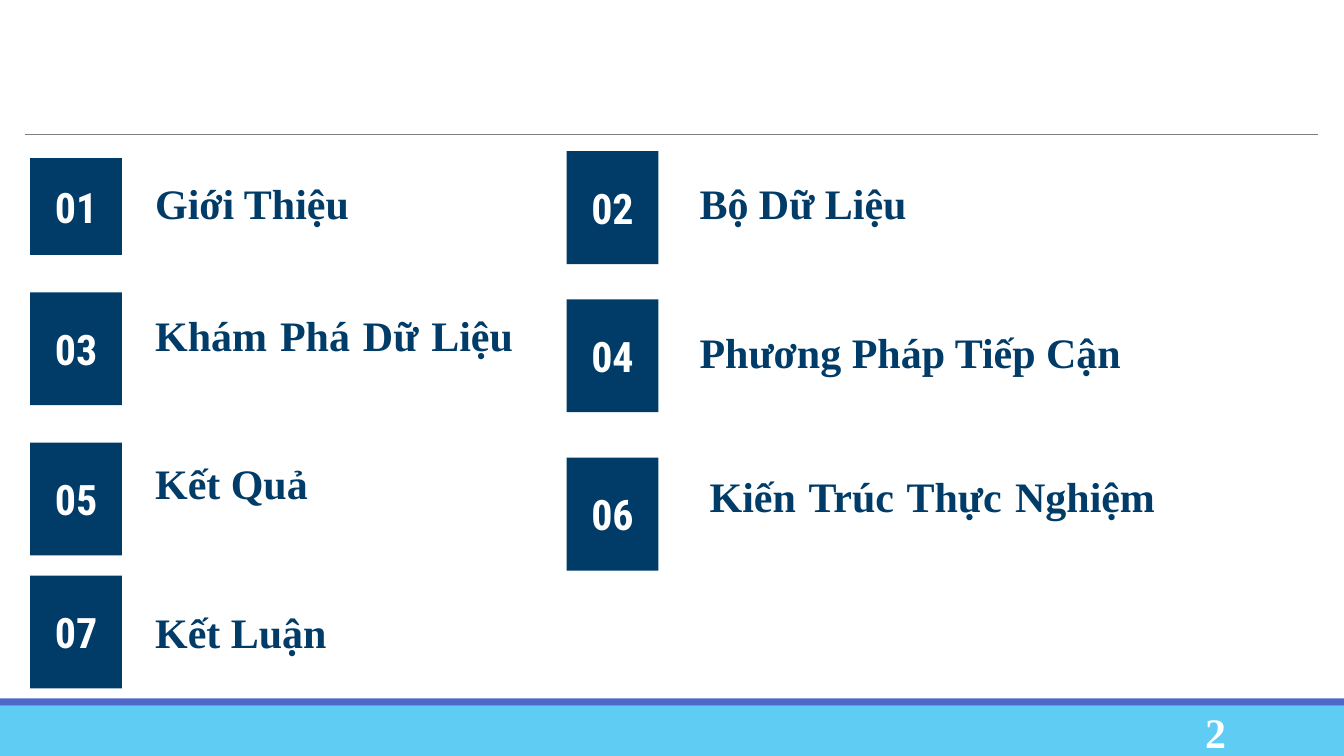
"""Build the numbered agenda slide."""
from dataclasses import dataclass

from lxml import etree
from pptx import Presentation
from pptx import util as u
from pptx.dml.color import RGBColor
from pptx.enum import shapes, text
from pptx.oxml import ns

NAVY = RGBColor(0x00, 0x3C, 0x67)
SKY = RGBColor(0x5E, 0xCC, 0xF3)
INDIGO = RGBColor(0x4E, 0x67, 0xC8)
GRAY = RGBColor(0x7F, 0x7F, 0x7F)
WHITE = RGBColor(0xFF, 0xFF, 0xFF)
SERIF = "Times New Roman"
CONDENSED = "Roboto Condensed"
TILE_COLUMNS = (0.3, 5.62)
TILE_WIDTH = 0.91
TITLE_HEIGHT = 0.96


@dataclass(frozen=True)
class Topic:
    title: str
    tile_top: float
    title_left: float
    title_top: float
    title_width: float
    tile_height: float = 1.12


TOPICS = (
    Topic("Giới Thiệu ", 1.57, 1.44, 1.79, 2.99, 0.96),
    Topic("Bộ Dữ Liệu ", 1.5, 6.84, 1.79, 3.16),
    Topic("Khám Phá Dữ Liệu ", 2.9, 1.44, 3.1, 3.75),
    Topic("Phương Pháp Tiếp Cận ", 2.97, 6.84, 3.27, 4.8),
    Topic("Kết Quả ", 4.39, 1.44, 4.57, 3.75),
    Topic("Kiến Trúc Thực Nghiệm ", 4.54, 6.94, 4.7, 4.62),
    Topic("Kết Luận ", 5.71, 1.44, 6.04, 3.28),
)


def add_block(page, left: float, top: float, width: float, height: float, color: RGBColor):
    """Add a flat filled rectangle."""
    block = page.shapes.add_shape(
        shapes.MSO_SHAPE.RECTANGLE,
        u.Inches(left), u.Inches(top), u.Inches(width), u.Inches(height),
    )
    block.shadow.inherit = False
    block.fill.solid()
    block.fill.fore_color.rgb = color
    block.line.fill.background()
    return block


def write(box, words: str, font: str, color: RGBColor, align, anchor, margin: float = 0.05):
    """Put one bold line in a shape and return its paragraph."""
    frame = box.text_frame
    frame.word_wrap = True
    frame.vertical_anchor = anchor
    frame.margin_left = frame.margin_right = u.Inches(0.1)
    frame.margin_top = frame.margin_bottom = u.Inches(margin)
    frame.text = words
    para = frame.paragraphs[0]
    para.alignment = align
    span = para.runs[0]
    span.font.name = font
    span.font.size = u.Pt(30)
    span.font.bold = True
    span.font.color.rgb = color
    return para


def add_label(page, left: float, top: float, width: float, height: float):
    """Add an empty text box."""
    return page.shapes.add_textbox(
        u.Inches(left), u.Inches(top), u.Inches(width), u.Inches(height)
    )


def add_rule(page) -> None:
    """Draw the thin line below the header area."""
    rule = page.shapes.add_connector(
        shapes.MSO_CONNECTOR.STRAIGHT,
        u.Inches(0.25), u.Inches(1.33), u.Inches(13.07), u.Inches(1.33),
    )
    rule.line.color.rgb = GRAY
    rule.line.width = u.Pt(0.75)
    etree.SubElement(rule._element.spPr, ns.qn("a:effectLst"))


def add_topic(page, index: int, topic: Topic) -> None:
    """Draw a numbered tile and its title."""
    tile = add_block(
        page, TILE_COLUMNS[index % 2], topic.tile_top, TILE_WIDTH, topic.tile_height, NAVY
    )
    write(tile, f"{index + 1:02d}", CONDENSED, WHITE,
          text.PP_ALIGN.CENTER, text.MSO_ANCHOR.MIDDLE, 0.1)
    title = add_label(page, topic.title_left, topic.title_top, topic.title_width, TITLE_HEIGHT)
    para = write(title, topic.title, SERIF, NAVY, text.PP_ALIGN.JUSTIFY, text.MSO_ANCHOR.TOP)
    para.line_spacing = 0.85


def main() -> None:
    """Assemble and save the deck."""
    deck = Presentation()
    deck.slide_width = u.Inches(13.33)
    deck.slide_height = u.Inches(7.5)
    page = deck.slides.add_slide(deck.slide_layouts[6])
    add_block(page, 0, 7, 13.33, 0.5, SKY)
    add_block(page, 0, 6.93, 13.33, 0.07, INDIGO)
    add_rule(page)
    for index, topic in enumerate(TOPICS):
        add_topic(page, index, topic)
    number = add_label(page, 10.83, 7.06, 1.43, 0.4)
    write(number, "2", SERIF, WHITE, text.PP_ALIGN.RIGHT, text.MSO_ANCHOR.MIDDLE)
    deck.save("out.pptx")


if __name__ == "__main__":
    main()
